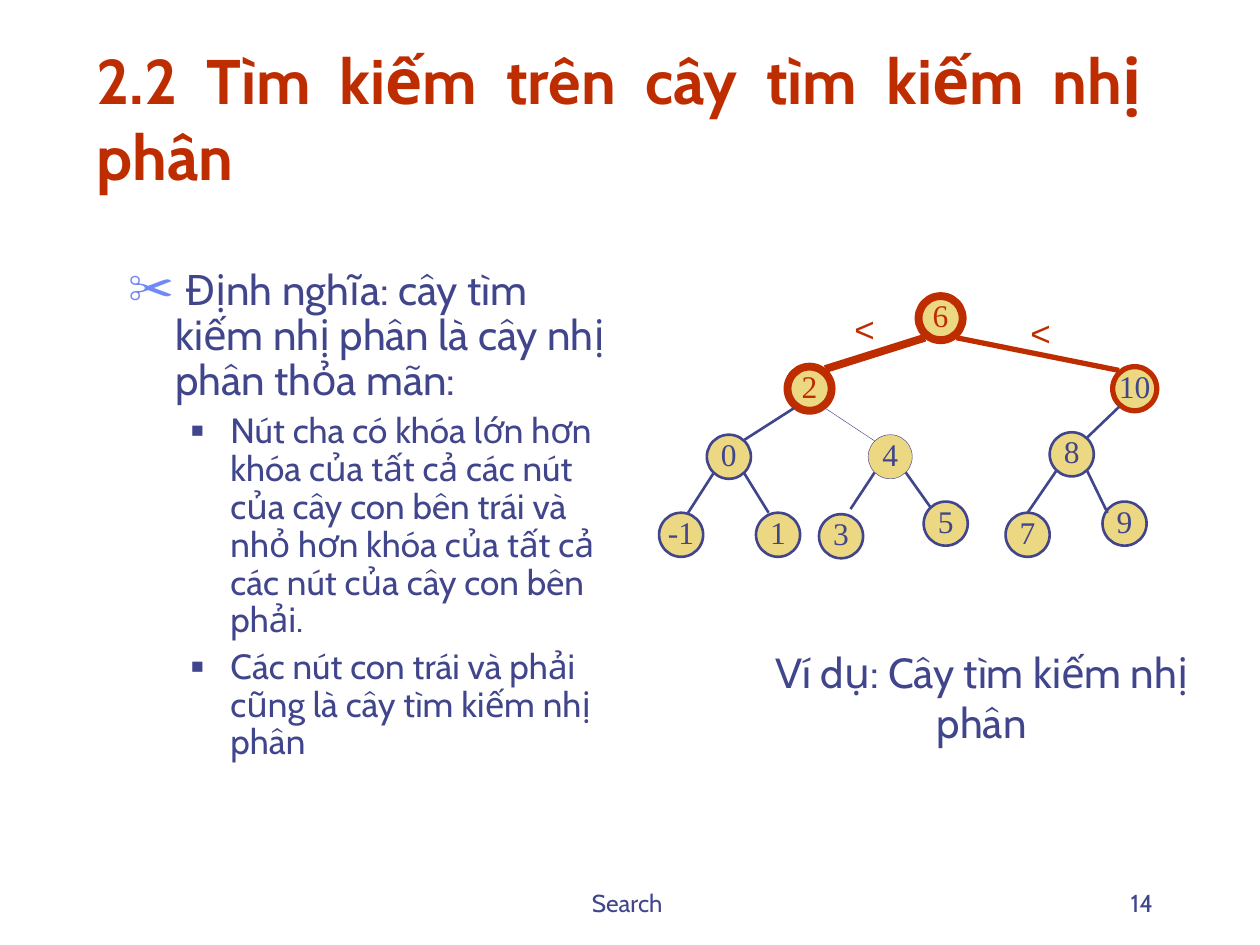
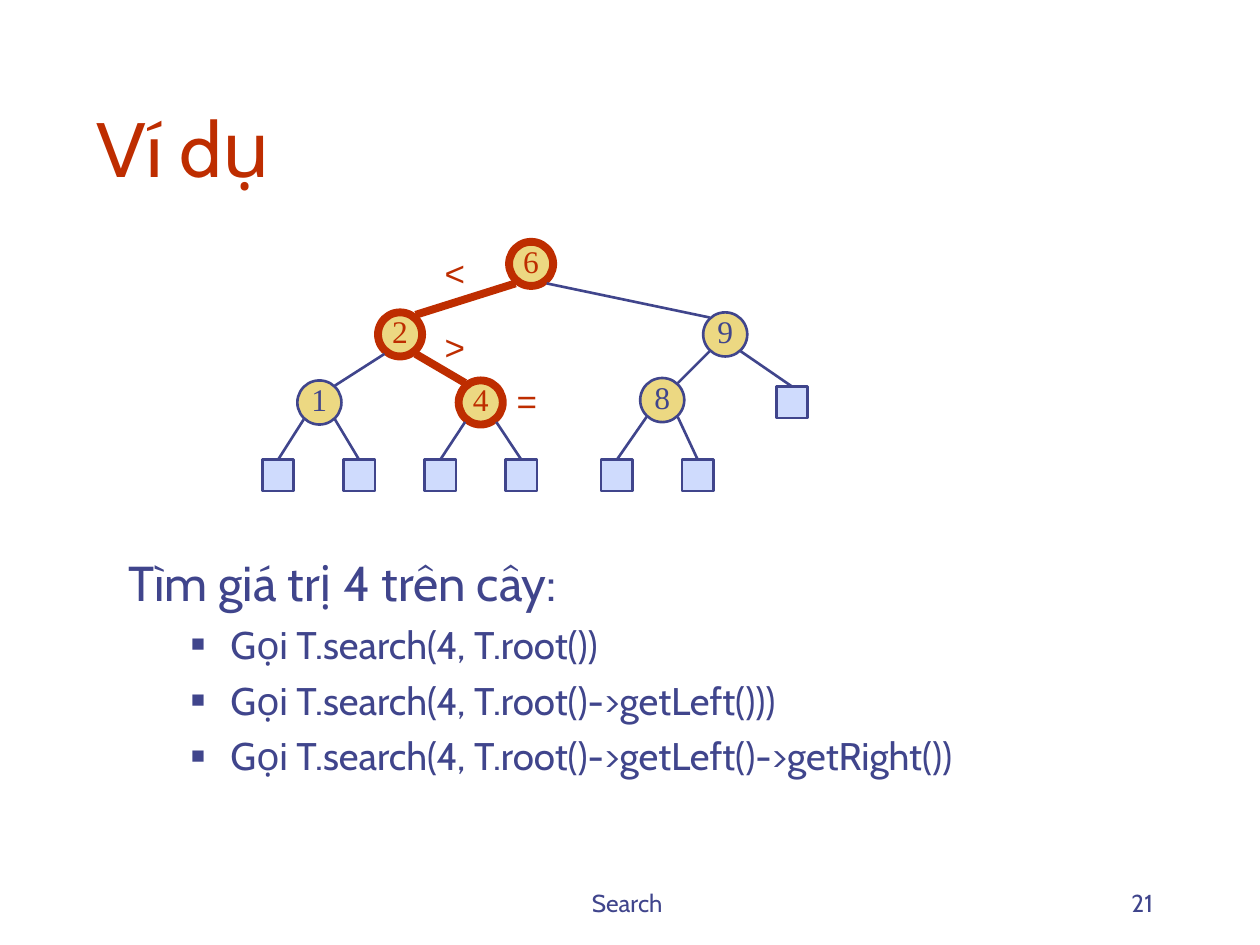
from dataclasses import dataclass
from math import sqrt

from lxml import etree
from pptx import Presentation
from pptx.dml.color import RGBColor
from pptx.enum.shapes import MSO_CONNECTOR, MSO_SHAPE
from pptx.enum.text import MSO_ANCHOR, MSO_AUTO_SIZE, PP_ALIGN
from pptx.oxml.ns import qn
from pptx.util import Pt


@dataclass(frozen=True)
class Theme:
    ink: str = "40458C"
    accent: str = "BE2D00"
    scissors: str = "6F89F7"
    node: str = "ECD882"
    leaf: str = "CFDBFD"
    text_font: str = "Cabin"
    key_font: str = "Times New Roman"
    sign_font: str = "Arial"
    footer_size: float = 14
    key_size: float = 18
    sign_size: float = 20
    caption_size: float = 24
    thin: float = 0.25
    normal: float = 1.5
    medium: float = 3
    thick: float = 4.5


THEME = Theme()


@dataclass(frozen=True)
class Node:
    """A tree node; an empty key makes a square external node."""
    x: float
    y: float
    key: str = ""
    weight: float = THEME.normal
    tip: tuple = None  # where the edge from the parent ends, from the centre

    @property
    def outline(self):
        return THEME.accent if self.weight >= THEME.medium else THEME.ink

    @property
    def key_color(self):
        return THEME.accent if self.weight == THEME.thick else THEME.ink


DIAMETER = 25.2
SQUARE = 18

# Each place is the path of left and right turns from the root.
PLACES = {"": (0, 0), "L": (-74.9, 40.3), "R": (110.9, 40.3),
          "LL": (-121, 79.2), "LR": (-28.8, 79.2), "RL": (74.9, 77.8)}


def inner_nodes(root_x, root_y, keys, weights):
    return {place: Node(root_x + dx, root_y + dy, keys[place],
                        weights.get(place, THEME.normal))
            for place, (dx, dy) in PLACES.items()}


def rgb(color):
    return RGBColor.from_string(color)


def set_bullet(paragraph, char, color, percent):
    props = paragraph._p.get_or_add_pPr()
    if not char:
        etree.SubElement(props, qn("a:buNone"))
        return
    holder = etree.SubElement(props, qn("a:buClr"))
    etree.SubElement(holder, qn("a:srgbClr"), val=color)
    etree.SubElement(props, qn("a:buSzPct"), val=str(percent * 1000))
    etree.SubElement(props, qn("a:buChar"), char=char)


def write(frame, text, *, size, color=THEME.ink, font=THEME.text_font,
          bold=False, align=PP_ALIGN.LEFT, level=0, before=0, spacing=None,
          indent=None, bullet=None):
    """Add a paragraph; indent is (margin, first line), bullet is (char, color, percent)."""
    paragraph = frame.add_paragraph() if frame.text else frame.paragraphs[0]
    paragraph.alignment = align
    paragraph.level = level
    paragraph.space_before = Pt(before)
    if spacing:
        paragraph.line_spacing = spacing
    if indent:
        margin, first = indent
        props = paragraph._p.get_or_add_pPr()
        props.set("marL", str(Pt(margin)))
        props.set("indent", str(Pt(first)))
        set_bullet(paragraph, *(bullet or (None, None, None)))
    run = paragraph.add_run()
    run.text = text
    run.font.size = Pt(size)
    run.font.name = font
    run.font.bold = bold
    run.font.color.rgb = rgb(color)


class Deck:
    def __init__(self, theme):
        self.theme = theme
        self.prs = Presentation()
        self.prs.slide_width, self.prs.slide_height = Pt(720), Pt(540)
        self.slide = self.canvas = None

    def start_slide(self, number):
        self.slide = self.prs.slides.add_slide(self.prs.slide_layouts[1])
        self.canvas = self.slide.shapes
        self.footer(246, 228, "Search ", PP_ALIGN.CENTER)
        self.footer(516, 150, number, PP_ALIGN.RIGHT)

    def start_group(self):
        self.canvas = self.slide.shapes.add_group_shape().shapes

    def text_box(self, left, top, width, height, text, *, wrap=True,
                 anchor=MSO_ANCHOR.TOP, fit=MSO_AUTO_SIZE.SHAPE_TO_FIT_TEXT, **style):
        box = self.canvas.add_textbox(Pt(left), Pt(top), Pt(width), Pt(height))
        frame = box.text_frame
        frame.word_wrap = wrap
        frame.auto_size = fit
        frame.vertical_anchor = anchor
        write(frame, text, **style)

    def footer(self, left, width, text, align):
        self.text_box(left, 492, width, 36, text, anchor=MSO_ANCHOR.BOTTOM,
                      fit=MSO_AUTO_SIZE.NONE, size=self.theme.footer_size, align=align)

    def sign(self, x, y, text):
        """Write a comparison sign centred on x, y."""
        self.text_box(x - 13, y - 15.8, 26, 31.6, text, wrap=False,
                      size=self.theme.sign_size, color=self.theme.accent,
                      font=self.theme.sign_font, align=PP_ALIGN.CENTER)

    def placeholder(self, holder, left, top, width, height, anchor):
        holder.left, holder.top = Pt(left), Pt(top)
        holder.width, holder.height = Pt(width), Pt(height)
        holder.text_frame.auto_size = MSO_AUTO_SIZE.NONE
        holder.text_frame.vertical_anchor = anchor
        return holder.text_frame

    def title(self, text, **style):
        frame = self.placeholder(self.slide.shapes.title, 48, 24, 612, 90,
                                 MSO_ANCHOR.BOTTOM)
        write(frame, text, color=self.theme.accent, **style)

    def outline(self, top, width, height, lead, points, *, lead_size, point_size,
                lead_bullet=None, spacing=None):
        """Fill the body with a lead line and its points."""
        frame = self.placeholder(self.slide.placeholders[1], 66, top, width, height,
                                 MSO_ANCHOR.TOP)
        write(frame, lead, size=lead_size, before=lead_size / 4, spacing=spacing,
              indent=(27, -27), bullet=lead_bullet)
        for point in points:
            write(frame, point, size=point_size, before=point_size / 4, level=1,
                  spacing=spacing, indent=(58.5, -22.5),
                  bullet=("■", self.theme.ink, 60))

    def node(self, node):
        kind, side, fill = ((MSO_SHAPE.OVAL, DIAMETER, self.theme.node) if node.key
                            else (MSO_SHAPE.RECTANGLE, SQUARE, self.theme.leaf))
        shape = self.canvas.add_shape(kind, Pt(node.x - side / 2), Pt(node.y - side / 2),
                                      Pt(side), Pt(side))
        shape.shadow.inherit = False
        shape.fill.solid()
        shape.fill.fore_color.rgb = rgb(fill)
        shape.line.color.rgb = rgb(node.outline)
        shape.line.width = Pt(node.weight)
        if node.key:
            frame = shape.text_frame
            frame.margin_left = frame.margin_right = frame.margin_top = 0
            frame.margin_bottom = Pt(3.6)
            frame.word_wrap = False
            frame.vertical_anchor = MSO_ANCHOR.MIDDLE
            write(frame, node.key, size=self.theme.key_size, color=node.key_color,
                  font=self.theme.key_font, align=PP_ALIGN.CENTER)
        return shape

    def edge(self, parent, child, child_shape, turn):
        """Join parent and child in the style of the child's outline."""
        diagonal = DIAMETER / 2 / sqrt(2)
        side = -1 if turn == "L" else 1
        tip_x, tip_y = child.tip or (-side * diagonal, -diagonal - child.weight / 2)
        line = self.canvas.add_connector(
            MSO_CONNECTOR.STRAIGHT,
            Pt(parent.x + side * diagonal), Pt(parent.y + diagonal + parent.weight / 2),
            Pt(child.x + tip_x), Pt(child.y + tip_y))
        if not child.key:
            line.end_connect(child_shape, 0)
        line.line.color.rgb = rgb(child.outline)
        line.line.width = Pt(child.weight)
        etree.SubElement(line._element.spPr, qn("a:effectLst"))

    def tree(self, nodes):
        shapes = {place: self.node(node) for place, node in nodes.items()}
        for place, child in nodes.items():
            if place:
                self.edge(nodes[place[:-1]], child, shapes[place], place[-1])


def definition_slide(deck):
    theme = deck.theme
    deck.start_slide("14")
    deck.title("2.2 Tìm kiếm trên cây tìm kiếm nhị phân", size=36, bold=True,
               align=PP_ALIGN.JUSTIFY)
    deck.outline(
        150, 294, 324,
        " Định nghĩa: cây tìm kiếm nhị phân là cây nhị phân thỏa mãn:",
        ["Nút cha có khóa lớn hơn khóa của tất cả các nút của cây con bên trái và "
         "nhỏ hơn khóa của tất cả các nút của cây con bên phải.",
         "Các nút con trái và phải cũng là cây tìm kiếm nhị phân"],
        lead_size=24, point_size=20, spacing=0.9,
        lead_bullet=("✂", theme.scissors, 110))
    keys = {"": "6", "L": "2", "R": "10", "LL": "0", "LR": "4", "RL": "8"}
    weights = {"": theme.thick, "L": theme.thick, "R": theme.medium, "LR": theme.thin}
    leaves = {
        "LLL": Node(389.2, 305.6, "-1", tip=(4, -12.6)),
        "LLR": Node(444.6, 305.6, "1", tip=(-5.4, -12.6)),
        "LRL": Node(480.6, 306.4, "3", tip=(5.4, -15.5)),
        "LRR": Node(540.4, 299.2, "5"),
        "RLL": Node(587.2, 305.6, "7", tip=(0, -12.6)),
        "RLR": Node(642.6, 299.2, "9", tip=(-9.7, -6.1)),
    }
    deck.tree(inner_nodes(537.5, 181.8, keys, weights) | leaves)
    deck.sign(494, 187.9, "<")
    deck.sign(594.7, 190, "<")
    deck.text_box(426, 365.8, 270, 64.8, "Ví dụ: Cây tìm kiếm nhị phân",
                  size=theme.caption_size, align=PP_ALIGN.CENTER, before=15)


def example_slide(deck):
    theme = deck.theme
    deck.start_slide("21")
    deck.title("Ví dụ", size=44)
    deck.outline(
        312, 624, 174, "Tìm giá trị 4 trên cây:",
        ["Gọi T.search(4, T.root())",
         "Gọi T.search(4, T.root()->getLeft()))",
         "Gọi T.search(4, T.root()->getLeft()->getRight())"],
        lead_size=28, point_size=22)
    keys = {"": "6", "L": "2", "R": "9", "LL": "1", "LR": "4", "RL": "8"}
    weights = dict.fromkeys(["", "L", "LR"], theme.thick)
    bottom_row = {"LLL": 158.9, "LLR": 205.2, "LRL": 251.6,
                  "LRR": 297.9, "RLL": 352.5, "RLR": 398.7}
    leaves = {place: Node(x, 271.7) for place, x in bottom_row.items()}
    leaves["RR"] = Node(452.6, 229.9)
    deck.start_group()
    deck.tree(inner_nodes(303.5, 150.8, keys, weights) | leaves)
    deck.sign(259.9, 156.2, "<")
    deck.sign(259.9, 198, ">")
    deck.sign(301, 229, "=")


def main():
    deck = Deck(THEME)
    definition_slide(deck)
    example_slide(deck)
    deck.prs.save("out.pptx")


if __name__ == "__main__":
    main()
